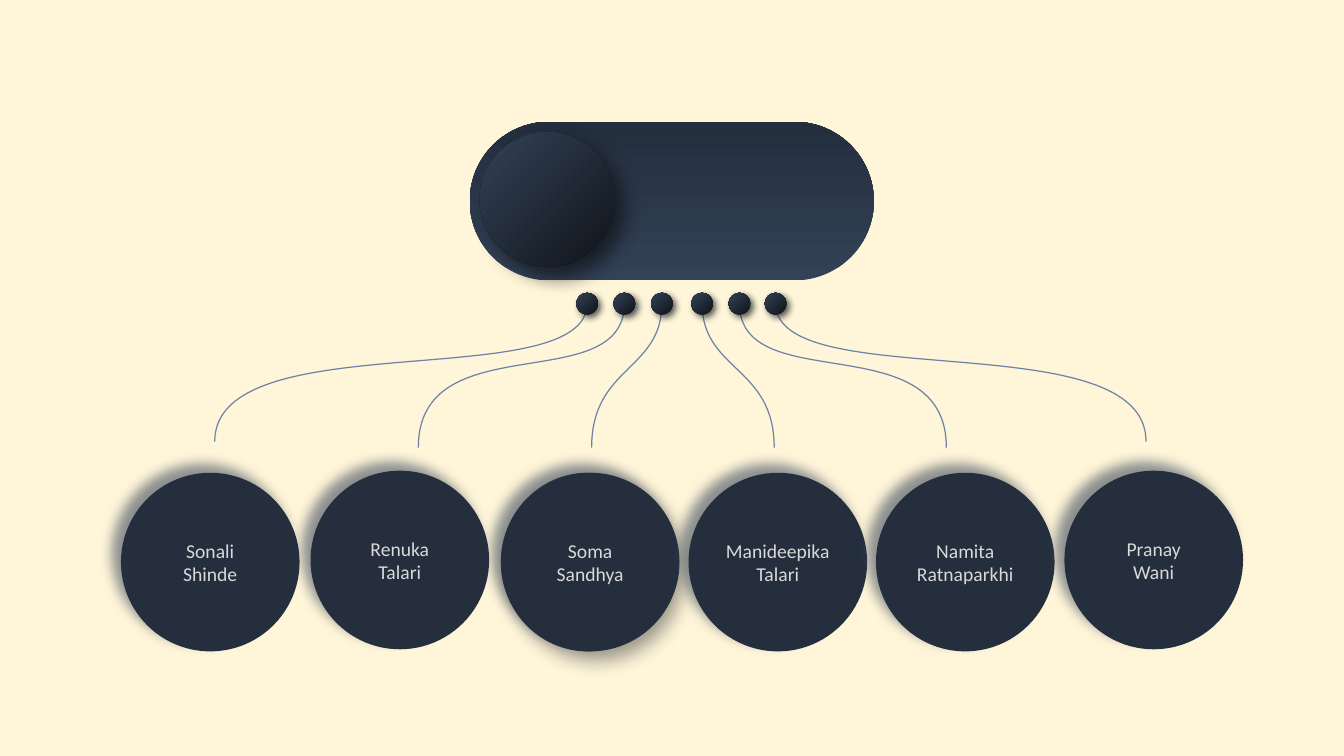
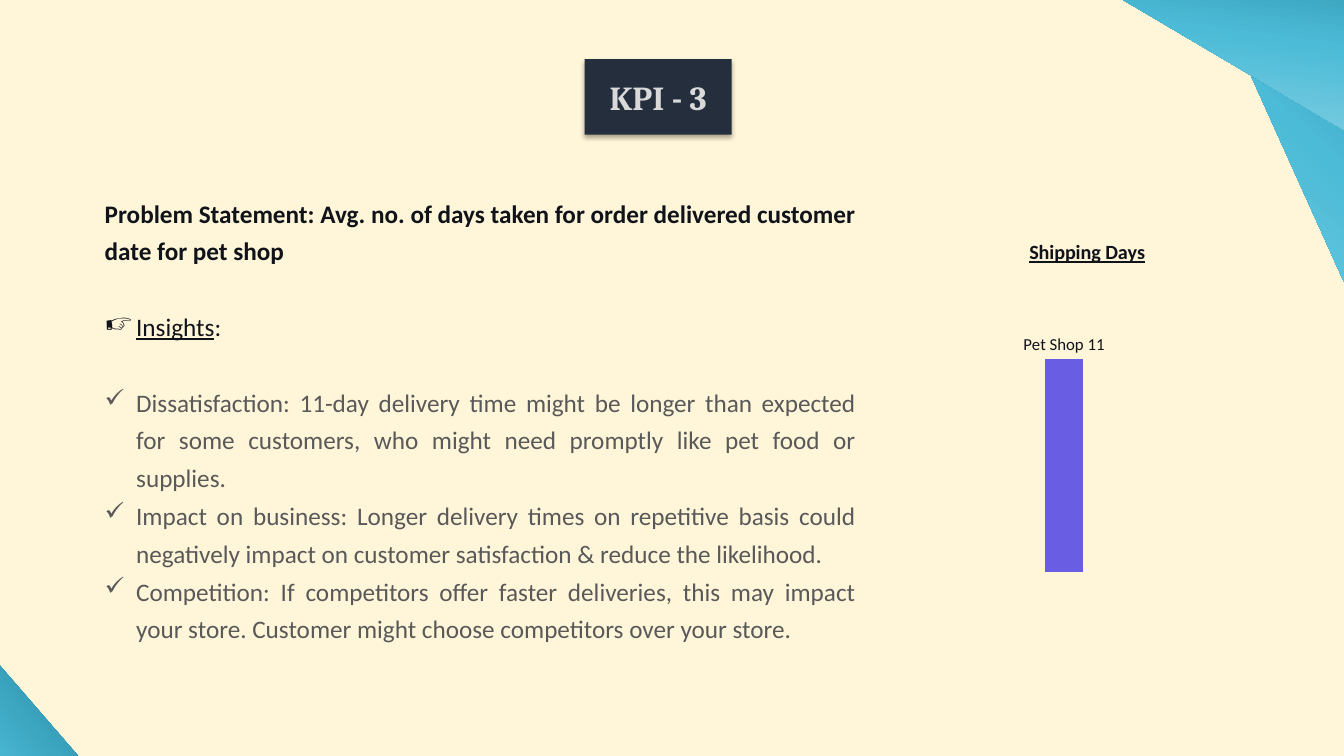
import pptx
import pptx.chart.data
import pptx.dml.color
import pptx.enum.chart
import pptx.enum.shapes
import pptx.enum.text
import pptx.oxml
import pptx.oxml.ns
import pptx.util
from lxml import etree

Pt = pptx.util.Pt
qn = pptx.oxml.ns.qn
SHAPES = pptx.enum.shapes.MSO_SHAPE
ALIGN = pptx.enum.text.PP_ALIGN

CREAM, NAVY, SLATE, INK = "FFF5D9", "242E3D", "334257", "10141A"
LIGHT, GREY, WIRE, VIOLET = "D9D9D9", "595959", "6E84A6", "685DE3"
BODY_FONT, TITLE_FONT = "Calibri", "Cambria"
TEAL_STOPS = [(0, "23839C"), (48, "4CBBD7"), (100, "90D5E6")]
UPWARD = '<a:lin ang="16200000" scaled="0"/>'
FROM_CORNER = '<a:path path="circle"><a:fillToRect r="100000" b="100000"/></a:path>'

# Shadows: colour, opacity %, blur, distance, direction
DISC_SHADOW = (INK, 72, 14, 10, 45)
DOT_SHADOW = (INK, 72, 5, 3, 45)
NAME_SHADOW = (SLATE, 56, 9, 9, 225)
GLOW_SHADOW = (INK, 42, 14, 9, 45)
TITLE_SHADOW = ("000000", 32, 3.5, 2.2, 90)

# Name, left and top of the circle, dot centre, wire end
MEMBERS = [
    ("Sonali", "Shinde", 86.4, 337.7, 419.4, 153.4),
    ("Renuka", "Talari", 221.8, 336.2, 446, 298.8),
    ("Soma", "Sandhya", 357.8, 337.7, 472.8, 422.6),
    ("Manideepika", "Talari", 491.8, 337.7, 501.5, 553),
    ("Namita", "Ratnaparkhi", 625.7, 337.7, 528.2, 676),
    ("Pranay", "Wani", 760.3, 336.2, 554, 818.6),
]
# Heights of the two control points and the end, from the outer wires inwards
WIRE_HEIGHTS = [(283, 229.7, 315.4), (285, 231, 319.7), (265, 261.4, 319.7)]

INSIGHTS = [
    "Dissatisfaction: 11-day delivery time might be longer than expected for some "
    "customers, who might need promptly like pet food or supplies.",
    "Impact on business: Longer delivery times on repetitive basis could negatively "
    "impact on customer satisfaction & reduce the likelihood.",
    "Competition: If competitors offer faster deliveries, this may impact your store. "
    "Customer might choose competitors over your store.",
]


def color(value):
    return pptx.dml.color.RGBColor.from_string(value)


def drawing_xml(text):
    """Parse a fragment whose root is in the drawing namespace."""
    return pptx.oxml.parse_xml(
        text.replace(" ", " " + pptx.oxml.ns.nsdecls("a") + " ", 1))


def style_font(font, size, value, name=BODY_FONT, bold=False, underline=False):
    font.size, font.name = Pt(size), name
    font.bold, font.underline = bold, underline
    font.color.rgb = color(value)


def add_run(paragraph, text, size, value, **style):
    run = paragraph.add_run()
    run.text = text
    style_font(run.font, size, value, **style)


def set_solid(shape, value):
    shape.fill.solid()
    shape.fill.fore_color.rgb = color(value)


def set_gradient(shape, stops, direction):
    shape.fill.background()
    properties = shape.element.spPr
    stop_xml = "".join(
        f'<a:gs pos="{position * 1000}"><a:srgbClr val="{value}"/></a:gs>'
        for position, value in stops)
    properties.replace(properties.find(qn("a:noFill")), drawing_xml(
        f'<a:gradFill rotWithShape="1"><a:gsLst>{stop_xml}</a:gsLst>{direction}</a:gradFill>'))


def set_shadow(shape, value, opacity, blur, distance, direction):
    shape.shadow.inherit = False
    shape.element.spPr.find(qn("a:effectLst")).append(drawing_xml(
        f'<a:outerShdw blurRad="{Pt(blur)}" dist="{Pt(distance)}" '
        f'dir="{direction * 60000}" algn="ctr" rotWithShape="0">'
        f'<a:srgbClr val="{value}"><a:alpha val="{opacity * 1000}"/></a:srgbClr>'
        '</a:outerShdw>'))


def add_plain_shape(slide, kind, left, top, width, height):
    shape = slide.shapes.add_shape(kind, Pt(left), Pt(top), Pt(width), Pt(height))
    shape.line.fill.background()
    shape.shadow.inherit = False
    return shape


def add_sphere(slide, left, top, size, shadow):
    sphere = add_plain_shape(slide, SHAPES.OVAL, left, top, size, size)
    set_gradient(sphere, [(0, SLATE), (100, INK)], FROM_CORNER)
    set_shadow(sphere, *shadow)


def add_circle(slide, left, top, width, height, shadow):
    circle = add_plain_shape(slide, SHAPES.OVAL, left, top, width, height)
    set_solid(circle, NAVY)
    set_shadow(circle, *shadow)
    return circle


def add_name_circle(slide, names, left, top):
    frame = add_circle(slide, left, top, 127.6, 127.6, NAME_SHADOW).text_frame
    frame.word_wrap = False
    frame.vertical_anchor = pptx.enum.text.MSO_ANCHOR.MIDDLE
    for index, name in enumerate(names):
        paragraph = frame.add_paragraph() if index else frame.paragraphs[0]
        paragraph.alignment = ALIGN.CENTER
        add_run(paragraph, name, 14, LIGHT)


def add_wire(slide, start, end, heights):
    """Draw one cubic curve from a dot down to its circle."""
    first, second, last = heights
    builder = slide.shapes.build_freeform(Pt(start), Pt(216.7), scale=1.0)
    builder.add_line_segments(
        [(Pt(start), Pt(first)), (Pt(end), Pt(second)), (Pt(end), Pt(last))], close=False)
    wire = builder.convert_to_shape()
    outline = wire.element.spPr.find(".//" + qn("a:path"))
    segments = outline.findall(qn("a:lnTo"))
    curve = etree.SubElement(outline, qn("a:cubicBezTo"))
    for segment in segments:
        curve.append(segment[0])
        outline.remove(segment)
    wire.fill.background()
    wire.line.color.rgb = color(WIRE)
    wire.line.width = Pt(0.88)
    wire.shadow.inherit = False


def add_corner(slide, left, top, width, height, rotation, flipped=False):
    corner = add_plain_shape(slide, SHAPES.RIGHT_TRIANGLE, left, top, width, height)
    set_gradient(corner, TEAL_STOPS, UPWARD)
    corner.rotation = rotation
    if flipped:
        corner.element.spPr.find(qn("a:xfrm")).set("flipV", "1")


def set_title(slide, text):
    title = slide.shapes.title
    title.left, title.top, title.width, title.height = Pt(417.6), Pt(42.2), Pt(105.1), Pt(54)
    title.element.spPr.append(
        drawing_xml('<a:prstGeom prst="round2DiagRect"><a:avLst/></a:prstGeom>'))
    set_solid(title, NAVY)
    title.line.fill.background()
    set_shadow(title, *TITLE_SHADOW)
    frame = title.text_frame
    frame.auto_size = pptx.enum.text.MSO_AUTO_SIZE.NONE
    frame.vertical_anchor = pptx.enum.text.MSO_ANCHOR.MIDDLE
    frame.paragraphs[0].alignment = ALIGN.CENTER
    add_run(frame.paragraphs[0], text, 24, LIGHT, name=TITLE_FONT, bold=True)


def set_bullet(paragraph, character, size):
    properties = paragraph._p.get_or_add_pPr()
    properties.set("marL", str(Pt(22.5)))
    properties.set("indent", str(-Pt(22.5)))
    properties.append(drawing_xml(f'<a:buSzPct val="{size * 1000}"/>'))
    properties.append(drawing_xml(f'<a:buChar char="{character}"/>'))


def add_body(slide):
    box = slide.shapes.add_textbox(Pt(67.7), Pt(132.5), Pt(550.8), Pt(332.6))
    frame = box.text_frame
    frame.word_wrap = True

    def add_paragraph(gap=0, bullet=None, bullet_size=100):
        paragraph = frame.add_paragraph() if gap is not None else frame.paragraphs[0]
        paragraph.alignment = ALIGN.JUSTIFY
        paragraph.line_spacing = 1.25
        if gap:
            paragraph.space_before = Pt(gap)
        if bullet:
            set_bullet(paragraph, bullet, bullet_size)
        return paragraph

    add_run(add_paragraph(gap=None),
            "Problem Statement: Avg. no. of days taken for order delivered "
            "customer date for pet shop", 18, INK, bold=True)
    heading = add_paragraph(27, "☞", 110)
    add_run(heading, "Insights", 18, INK, underline=True)
    add_run(heading, ":", 18, INK)
    for index, insight in enumerate(INSIGHTS):
        add_run(add_paragraph(0 if index else 27, "✓"), insight, 18, GREY)


def set_plot_area(chart, **fractions):
    """Fix the inner plot area as fractions of the chart."""
    plot_area = chart._chartSpace.chart.plotArea
    for old in plot_area.findall(qn("c:layout")):
        plot_area.remove(old)
    layout = etree.Element(qn("c:layout"))
    manual = etree.SubElement(layout, qn("c:manualLayout"))
    settings = {"layoutTarget": "inner", "xMode": "edge", "yMode": "edge", **fractions}
    for name, value in settings.items():
        etree.SubElement(manual, qn("c:" + name)).set("val", str(value))
    plot_area.insert(0, layout)


def add_shipping_chart(slide):
    data = pptx.chart.data.CategoryChartData()
    data.categories = ["Pet Shop", "", "", ""]
    data.add_series("Shipping Days", [11, None, None, None])
    chart = slide.shapes.add_chart(
        pptx.enum.chart.XL_CHART_TYPE.COLUMN_CLUSTERED,
        Pt(646.6), Pt(158.4), Pt(260), Pt(280.8), data).chart
    style_font(chart.font, 12, INK)
    chart.has_legend = False
    chart.has_title = True
    add_run(chart.chart_title.text_frame.paragraphs[0], "Shipping Days", 14.4, INK,
            bold=True, underline=True)
    chart.value_axis.minimum_scale, chart.value_axis.maximum_scale = 0, 12
    for axis in (chart.category_axis, chart.value_axis):
        axis.has_major_gridlines = False
        axis.visible = False
    set_plot_area(chart, x=0.36, y=0.3, w=0.61, h=0.59)

    plot = chart.plots[0]
    plot.gap_width = 45
    plot.vary_by_categories = False
    set_solid(plot.series[0].format, VIOLET)
    labels = plot.series[0].data_labels
    labels.show_value = labels.show_category_name = True
    labels.position = pptx.enum.chart.XL_LABEL_POSITION.OUTSIDE_END
    style_font(labels.font, 12, INK)
    separator = etree.Element(qn("c:separator"))
    separator.text = " "
    labels._element.find(qn("c:showBubbleSize")).addnext(separator)


def add_slide(presentation, layout_index):
    slide = presentation.slides.add_slide(presentation.slide_layouts[layout_index])
    set_solid(slide.background, CREAM)
    return slide


def build_team_slide(presentation):
    slide = add_slide(presentation, 6)
    for index, (*_, dot, end) in enumerate(MEMBERS):
        add_wire(slide, dot, end, WIRE_HEIGHTS[min(index, len(MEMBERS) - 1 - index)])
    pill = add_plain_shape(slide, SHAPES.ROUNDED_RECTANGLE, 335.5, 87, 288.7, 113.3)
    pill.adjustments[0] = 0.5
    set_gradient(pill, [(0, SLATE), (100, NAVY)], UPWARD)
    add_sphere(slide, 342.7, 94.3, 96.5, DISC_SHADOW)
    for first, last, left, top, dot, _ in MEMBERS:
        add_sphere(slide, dot - 7.7, 209.2, 15.4, DOT_SHADOW)
        if first == "Soma":
            add_circle(slide, left, top, 123.8, 127.6, GLOW_SHADOW)
        add_name_circle(slide, (first, last), left, top)


def build_kpi_slide(presentation):
    slide = add_slide(presentation, 5)
    add_corner(slide, 766.1, 26.6, 283.7, 118.8, 223)
    add_corner(slide, 697.7, -37.4, 283.7, 118.8, 187.8)
    set_title(slide, "KPI - 3")
    add_shipping_chart(slide)
    add_body(slide)
    add_corner(slide, -74.9, 488.2, 117.4, 118.8, 49.1, flipped=True)


def main():
    presentation = pptx.Presentation()
    presentation.slide_width, presentation.slide_height = Pt(960), Pt(540)
    build_team_slide(presentation)
    build_kpi_slide(presentation)
    presentation.save("out.pptx")


if __name__ == "__main__":
    main()
